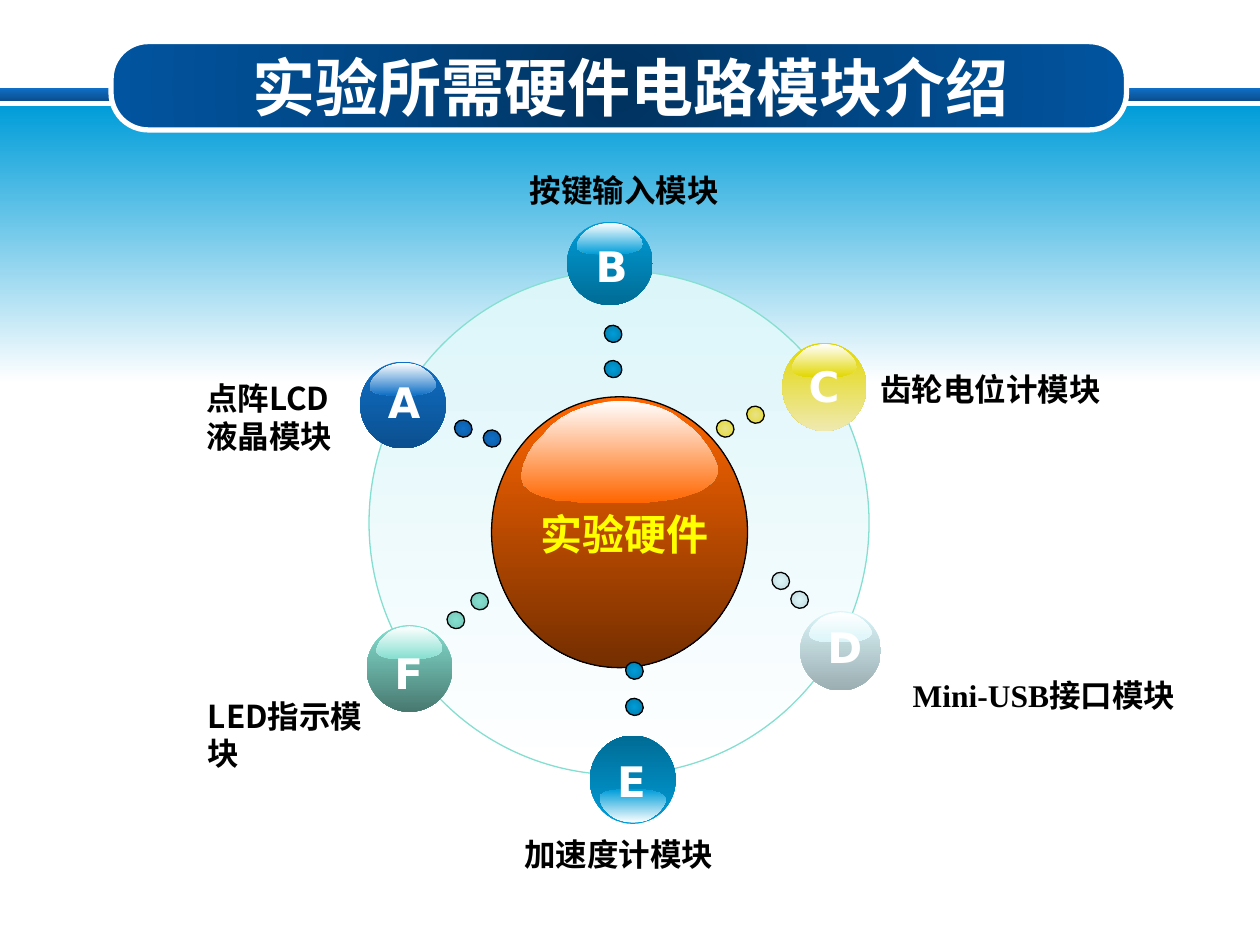
from copy import deepcopy

from lxml import etree
from pptx import Presentation
from pptx.dml.color import RGBColor
from pptx.enum.shapes import MSO_SHAPE
from pptx.enum.text import MSO_ANCHOR, PP_ALIGN
from pptx.oxml.ns import qn
from pptx.util import Cm, Pt

RECTANGLE, PILL, OVAL = MSO_SHAPE.RECTANGLE, MSO_SHAPE.ROUNDED_RECTANGLE, MSO_SHAPE.OVAL
LEFT, CENTER, RIGHT = PP_ALIGN.LEFT, PP_ALIGN.CENTER, PP_ALIGN.RIGHT
MIDDLE = MSO_ANCHOR.MIDDLE

WHITE = RGBColor(0xFF, 0xFF, 0xFF)
BLACK = RGBColor(0x00, 0x00, 0x00)
YELLOW = RGBColor(0xFF, 0xFF, 0x00)
ORANGE = RGBColor(0xFF, 0x66, 0x00)
BROWN = RGBColor(0x74, 0x2E, 0x00)
BLUE = RGBColor(0x0F, 0x6F, 0xC6)
DARK_BLUE = RGBColor(0x0B, 0x4F, 0x8E)
NAVY = RGBColor(0x01, 0x32, 0x5E)
MID_NAVY = RGBColor(0x01, 0x47, 0x86)
ROYAL = RGBColor(0x01, 0x54, 0x9F)
SKY = RGBColor(0x00, 0x9D, 0xD9)
DARK_SKY = RGBColor(0x00, 0x6C, 0x95)
GOLD = RGBColor(0xE2, 0xD7, 0x00)
PALE_GOLD = RGBColor(0xEF, 0xE9, 0xB0)
SOFT_GOLD = RGBColor(0xE9, 0xE2, 0x8A)
ICE = RGBColor(0xDB, 0xF5, 0xF9)
GREY_ICE = RGBColor(0x9B, 0xAE, 0xB1)
DOT_ICE = RGBColor(0xB8, 0xCD, 0xD1)
MINT = RGBColor(0x85, 0xDF, 0xD0)
DARK_MINT = RGBColor(0x48, 0x79, 0x70)
DOT_MINT = RGBColor(0x70, 0xBB, 0xAE)

DOWN, UP, RADIAL = 270, 90, None
GLOSS_WIDTH, GLOSS_HEIGHT = 157, 81
GLOSS = [
    (154, 46), (156, 51), (157, 55), (156, 59), (154, 63), (151, 66), (147, 69),
    (142, 72), (136, 74), (130, 76), (122, 78), (115, 79), (106, 80), (98, 81),
    (56, 81), (49, 81), (42, 80), (35, 79), (28, 79), (22, 77), (17, 76), (12, 74),
    (8, 72), (5, 69), (2, 67), (1, 63), (0, 60), (1, 56), (2, 51), (6, 42), (11, 34),
    (18, 27), (24, 20), (32, 14), (41, 9), (49, 6), (59, 3), (69, 1), (79, 0), (90, 1),
    (101, 3), (111, 6), (120, 10), (128, 16), (136, 22), (143, 29), (149, 37),
]

prs = Presentation()
prs.slide_width, prs.slide_height = Cm(25.4), Cm(19.05)
slide = prs.slides.add_slide(prs.slide_layouts[5])
shapes = slide.shapes


def paint(shape, colours, angle=DOWN, line=None, line_width=0.75):
    shape.shadow.inherit = False
    shape.fill.gradient()
    gradient = shape._element.spPr.find(qn("a:gradFill"))
    stop_list = gradient.find(qn("a:gsLst"))
    for _ in colours[2:]:
        stop_list.append(deepcopy(stop_list[-1]))
    for i, (stop, colour) in enumerate(zip(shape.fill.gradient_stops, colours)):
        stop.color.rgb = colour
        stop.position = i / (len(colours) - 1)
    if angle is RADIAL:
        gradient.remove(gradient.find(qn("a:lin")))
        radial = etree.SubElement(gradient, qn("a:path"), path="circle")
        etree.SubElement(radial, qn("a:fillToRect"), l="50000", t="50000", r="50000", b="50000")
    else:
        shape.fill.gradient_angle = angle
    if line is None:
        shape.line.fill.background()
    else:
        shape.line.color.rgb = line
        shape.line.width = Pt(line_width)


def add_sphere(x, y, width, height, light, dark, angle=DOWN, line=None):
    ball = shapes.add_shape(OVAL, Cm(x), Cm(y), Cm(width), Cm(height))
    paint(ball, (light, dark), angle, line)
    gloss_height = 0.377 * height
    inset = 0.014 * height
    if angle == UP:
        points = [(px, GLOSS_HEIGHT - py) for px, py in GLOSS]
        top = y + height - inset - gloss_height
    else:
        points = GLOSS
        top = y + inset
    scale = (Cm(0.77 * width) / GLOSS_WIDTH, Cm(gloss_height) / GLOSS_HEIGHT)
    outline = shapes.build_freeform(*points[0], scale=scale)
    outline.add_line_segments(points[1:], close=True)
    gloss = outline.convert_to_shape(Cm(x + 0.115 * width), Cm(top))
    paint(gloss, (WHITE, light), angle)


stripe = shapes.add_shape(RECTANGLE, 0, Cm(1.78), prs.slide_width, Cm(0.25))
paint(stripe, (BLUE, DARK_BLUE))
sky = shapes.add_shape(RECTANGLE, 0, Cm(2.13), prs.slide_width, Cm(5.59))
paint(sky, (SKY, WHITE))
banner = shapes.add_shape(PILL, Cm(2.24), Cm(0.84), Cm(20.47), Cm(1.78))
banner.adjustments[0] = 0.42
paint(banner, (NAVY, MID_NAVY, ROYAL), RADIAL, WHITE, 3)

title = shapes.title
shapes._spTree.append(title._element)
title.left, title.top, title.width, title.height = Cm(1.27), Cm(0.76), Cm(22.86), Cm(1.96)
title.text_frame.text = "实验所需硬件电路模块介绍"
title.text_frame.vertical_anchor = MIDDLE
heading = title.text_frame.paragraphs[0]
heading.alignment = CENTER
heading.font.name, heading.font.size, heading.font.bold = "Calibri", Pt(36), True
heading.font.color.rgb = WHITE

ring = shapes.add_shape(OVAL, Cm(7.44), Cm(5.46), Cm(10.08), Cm(10.16))
paint(ring, (ICE, WHITE), line=MINT)
add_sphere(9.91, 8, 5.16, 5.46, ORANGE, BROWN, line=BLACK)

spheres = [
    (7.26, 7.29, 1.73, 1.75, BLUE, DARK_BLUE, DOWN),
    (11.43, 4.47, 1.73, 1.68, SKY, DARK_SKY, DOWN),
    (15.77, 6.91, 1.7, 1.78, GOLD, PALE_GOLD, DOWN),
    (16.13, 12.32, 1.63, 1.6, ICE, GREY_ICE, DOWN),
    (11.89, 14.83, 1.73, 1.78, SKY, DARK_SKY, UP),
    (7.39, 12.6, 1.73, 1.75, MINT, DARK_MINT, DOWN),
]
for sphere in spheres:
    add_sphere(*sphere)

dot_pairs = [
    (BLUE, DARK_BLUE, (9.17, 8.46), (9.75, 8.66)),
    (SKY, DARK_SKY, (12.19, 6.55), (12.19, 7.26)),
    (SOFT_GOLD, GOLD, (15.06, 8.18), (14.45, 8.46)),
    (ICE, DOT_ICE, (15.95, 11.91), (15.57, 11.53)),
    (SKY, DARK_SKY, (12.62, 14.07), (12.62, 13.34)),
    (MINT, DOT_MINT, (9.02, 12.32), (9.5, 11.94)),
]
for inner, outer, *places in dot_pairs:
    for x, y in places:
        dot = shapes.add_shape(OVAL, Cm(x), Cm(y), Cm(0.34), Cm(0.36))
        dot.rotation = 303.8
        paint(dot, (inner, outer), RADIAL, BLACK)

LETTER = ("DejaVu Sans", 24, WHITE, LEFT, False)
LABEL = ("Noto Sans CJK JP", 18, BLACK, LEFT, True)
texts = [
    ("实验硬件", 10.64, 10.13, 3.96, 1.3, ("Calibri", 24, YELLOW, LEFT, False)),
    ("A", 7.57, 7.47, 1.17, 1.27, LETTER),
    ("B", 11.76, 4.72, 1.14, 1.27, LETTER),
    ("C", 16.05, 7.14, 1.12, 1.27, LETTER),
    ("D", 16.43, 12.4, 1.22, 1.27, LETTER),
    ("E", 12.19, 15.11, 1.09, 1.27, LETTER),
    ("F", 7.7, 12.93, 1.09, 1.27, LETTER),
    ("点阵LCD液晶模块", 3.91, 7.52, 3.35, 2.57, LABEL),
    ("按键输入模块", 8.46, 3.33, 8.26, 1.02, ("Noto Sans CJK JP", 18, BLACK, CENTER, True)),
    ("齿轮电位计模块", 17.5, 7.34, 5.21, 1.02, LABEL),
    ("Mini-USB接口模块", 18.11, 13.51, 5.87, 1.02, ("Times New Roman", 18, BLACK, CENTER, True)),
    ("加速度计模块", 9.91, 16.71, 4.72, 1.02, ("Noto Sans CJK JP", 18, BLACK, RIGHT, True)),
    ("LED指示模块", 3.94, 13.92, 4.17, 1.02, LABEL),
]
for wording, x, y, width, height, (font_name, size, colour, alignment, wrap) in texts:
    caption = shapes.add_textbox(Cm(x), Cm(y), Cm(width), Cm(height)).text_frame
    caption.word_wrap = wrap
    caption.text = wording
    line = caption.paragraphs[0]
    line.alignment = alignment
    line.font.name, line.font.size, line.font.bold = font_name, Pt(size), True
    line.font.color.rgb = colour

prs.save("out.pptx")
